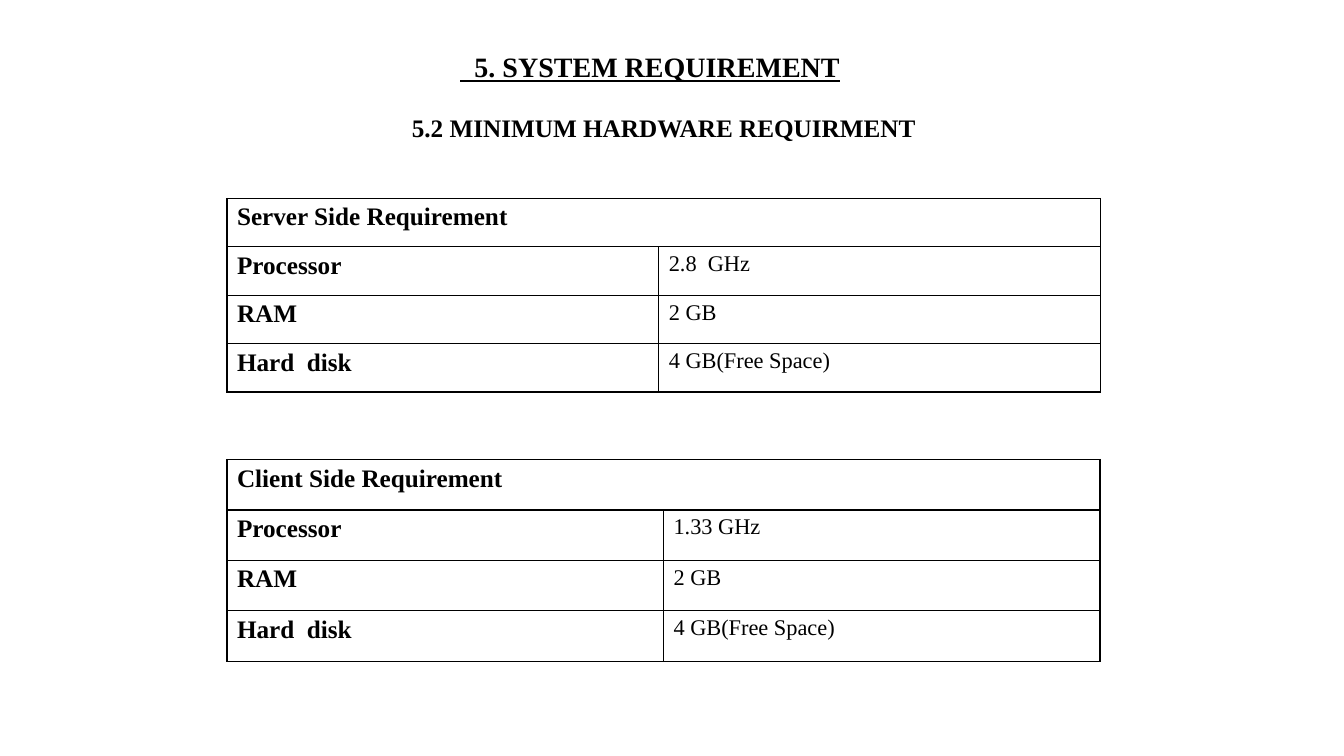
import pptx
import pptx.dml.color
import pptx.enum.text
import pptx.oxml
import pptx.oxml.ns
import pptx.util

Cm = pptx.util.Cm
ANCHOR = pptx.enum.text.MSO_ANCHOR
ALIGN = pptx.enum.text.PP_ALIGN
BLACK = "000000"
TITLE = {"size": pptx.util.Pt(20), "bold": True, "underline": True}
LABEL = {"size": pptx.util.Pt(18), "bold": True}
VALUE = {"size": pptx.util.Pt(16), "bold": False}


def colour(hex_value):
    return pptx.dml.color.RGBColor.from_string(hex_value)


def write(tf, text, style, align=ALIGN.LEFT):
    p = tf.paragraphs[0]
    p.alignment = align
    r = p.add_run()
    r.text = text
    for name, value in {"name": "Times New Roman", **style}.items():
        setattr(r.font, name, value)
    r.font.color.rgb = colour(BLACK)
    return p


def add_title(slide, text, left, top, width, height):
    sp = slide.shapes.title
    sp.left, sp.top, sp.width, sp.height = (Cm(v) for v in (left, top, width, height))
    tf = sp.text_frame
    tf.word_wrap = True
    tf.auto_size = pptx.enum.text.MSO_AUTO_SIZE.NONE
    tf.vertical_anchor = ANCHOR.TOP
    write(tf, text, TITLE).line_spacing = 0.9


def add_subtitle(slide, text, left, top, width, height):
    sp = slide.shapes.add_textbox(Cm(left), Cm(top), Cm(width), Cm(height))
    tf = sp.text_frame
    tf.word_wrap = True
    tf.auto_size = pptx.enum.text.MSO_AUTO_SIZE.SHAPE_TO_FIT_TEXT
    tf.vertical_anchor = ANCHOR.MIDDLE
    write(tf, text, LABEL, ALIGN.CENTER)


def set_borders(cell):
    tc_pr = cell._tc.get_or_add_tcPr()
    for i, side in enumerate(("lnL", "lnR", "lnT", "lnB")):
        tc_pr.insert(i, pptx.oxml.parse_xml(
            f'<a:{side} {pptx.oxml.ns.nsdecls("a")} w="{pptx.util.Pt(1)}"><a:solidFill>'
            f'<a:srgbClr val="{BLACK}"/></a:solidFill></a:{side}>'))


def add_requirements(slide, heading, specs, left, top, col_widths, row_height):
    """Table with a heading row across both columns, then label and value rows."""
    rows = [(heading, "")] + specs
    table = slide.shapes.add_table(
        len(rows), 2, Cm(left), Cm(top),
        Cm(sum(col_widths)), Cm(row_height * len(rows))).table
    table.first_row = table.horz_banding = False
    for column, width in zip(table.columns, col_widths):
        column.width = Cm(width)
    for i, row in enumerate(rows):
        table.rows[i].height = Cm(row_height)
        for j, (text, style) in enumerate(zip(row, (LABEL, VALUE))):
            cell = table.cell(i, j)
            cell.fill.background()
            set_borders(cell)
            if text:
                write(cell.text_frame, text, style)
    table.cell(0, 0).merge(table.cell(0, 1))


def main():
    prs = pptx.Presentation()
    prs.slide_width, prs.slide_height = Cm(33.87), Cm(19.05)
    slide = prs.slides.add_slide(prs.slide_layouts.get_by_name("Title Only"))
    slide.background.fill.solid()
    slide.background.fill.fore_color.rgb = colour("FFFFFF")

    add_title(slide, "  5. SYSTEM REQUIREMENT", 11.35, 1.22, 10.41, 1.47)
    add_subtitle(slide, "5.2 MINIMUM HARDWARE REQUIRMENT", 4.88, 2.69, 23.7, 1.02)

    shared = [("RAM", "2 GB"), ("Hard  disk", "4 GB(Free Space)")]
    for heading, processor, top, col_widths, row_height in (
            ("Server Side Requirement", "2.8  GHz", 5, (10.88, 11.13), 1.22),
            ("Client Side Requirement", "1.33 GHz", 11.58, (11, 11), 1.27)):
        specs = [("Processor", processor)] + shared
        add_requirements(slide, heading, specs, 5.72, top, col_widths, row_height)

    prs.save("out.pptx")


if __name__ == "__main__":
    main()
